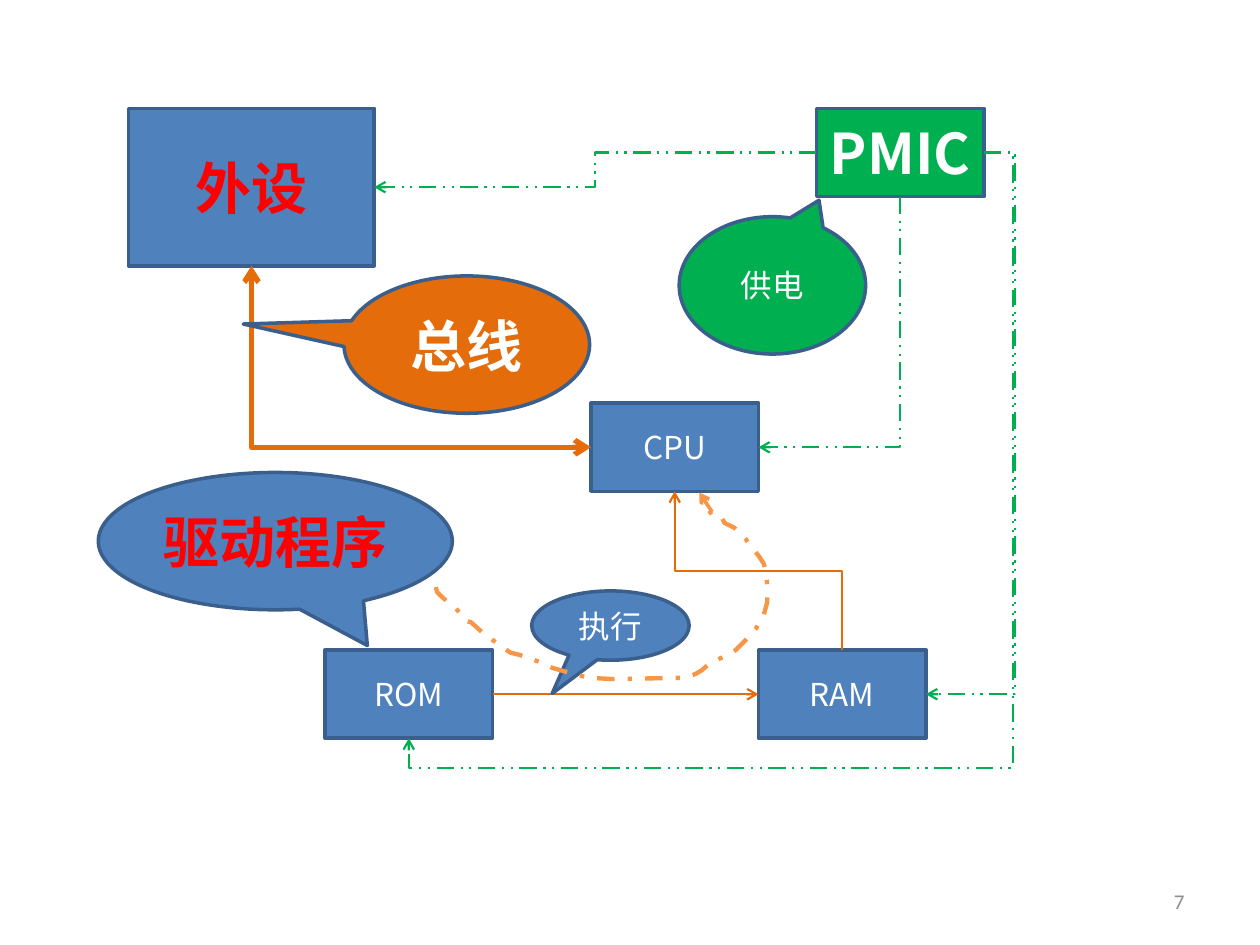
from lxml import etree
from pptx import Presentation
from pptx.dml.color import RGBColor
from pptx.enum.dml import MSO_LINE as Dash
from pptx.enum.shapes import MSO_CONNECTOR as Link, MSO_SHAPE as Geo
from pptx.enum.text import MSO_ANCHOR as Anchor, PP_ALIGN as Align
from pptx.oxml.ns import qn
from pptx.util import Inches, Pt

THEME = {
    "blue": "4F81BD", "edge": "3A5F8C", "green": "00B050", "orange": "E46C0A",
    "flow": "F79646", "red": "FF0000", "white": "FFFFFF", "grey": "8C8C8C",
    "large": 32, "normal": 18, "small": 12,
    "latin": "Calibri", "label": "Noto Sans CJK JP",
}
TOP, LEFT, BOTTOM, RIGHT = range(4)

BOXES = [
    ("外设", (1.02, 0.86, 1.95, 1.25), "blue", "red", "large", "latin"),
    ("PMIC", (6.48, 0.86, 1.33, 0.7), "green", "white", "large", "label"),
    ("CPU", (4.69, 3.2, 1.33, 0.7), "blue", "white", "normal", "label"),
    ("RAM", (6.02, 5.16, 1.33, 0.7), "blue", "white", "normal", "label"),
    ("ROM", (2.58, 5.16, 1.33, 0.7), "blue", "white", "normal", "label"),
]
CALLOUTS = [
    ("总线", (2.73, 2.19, 1.95, 1.09), "orange", "white", "large", (-0.91, -0.15)),
    ("供电", (5.39, 1.72, 1.48, 1.09), "green", "white", "normal", (0.25, -0.62)),
    ("驱动程序", (0.78, 3.75, 2.81, 1.09), "blue", "red", "large", (0.26, 0.76)),
    ("执行", (4.22, 4.69, 1.25, 0.55), "blue", "white", "normal", (-0.37, 0.98)),
]
BUS = ("orange", 3, None, ("headEnd", "tailEnd"))
DATA = ("orange", 1.25, None, ("tailEnd",))
POWER = ("green", 1.25, Dash.DASH_DOT_DOT, ("tailEnd",))
WIRES = [
    ("外设", BOTTOM, "CPU", LEFT, BUS, ("bentConnector2", 270, "flipH", ())),
    ("PMIC", LEFT, "外设", RIGHT, POWER, ("bentConnector3", 180, "flipV", (0.5,))),
    ("ROM", RIGHT, "RAM", LEFT, DATA, None),
    ("RAM", TOP, "CPU", BOTTOM, DATA, ("bentConnector3", 270, "flipV", (0.5,))),
    ("PMIC", BOTTOM, "CPU", RIGHT, POWER, ("bentConnector2", 90, None, ())),
    ("PMIC", RIGHT, "RAM", RIGHT, POWER, ("bentConnector3", 0, "flipH", (-0.53,))),
    ("PMIC", RIGHT, "ROM", BOTTOM, POWER,
     ("bentConnector4", 0, "flipH", (-0.05, 1.05))),
]
FLOW_PATH = [
    (3.46, 4.66), (3.47, 4.7), (3.51, 4.74), (3.62, 4.83), (3.7, 4.93), (3.74, 4.94),
    (3.84, 5.03), (3.98, 5.13), (4.05, 5.18), (4.13, 5.2), (4.3, 5.26), (4.38, 5.3),
    (4.52, 5.34), (4.67, 5.38), (4.86, 5.39), (5.43, 5.38), (5.52, 5.35), (5.57, 5.32),
    (5.64, 5.26), (5.73, 5.22), (5.84, 5.16), (5.91, 5.09), (6, 4.99), (6.06, 4.89),
    (6.09, 4.78), (6.09, 4.65), (6.08, 4.53), (6.06, 4.47), (6.02, 4.41), (5.96, 4.34),
    (5.92, 4.28), (5.83, 4.19), (5.75, 4.15), (5.73, 4.11), (5.69, 4.1), (5.65, 4.06),
    (5.61, 4.09), (5.62, 4.16),
]
FLOW_TIP = (5.65, 4.06, 5.55, 3.91)
PAGE = ("7", (7.17, 6.95, 2.33, 0.4))


def colour(key):
    return RGBColor.from_string(THEME[key])


def apply(target, values):
    for key, value in values.items():
        setattr(target, key, value)


def write(holder, words, ink, size, face, align=Align.CENTER, margin=0):
    frame = holder.text_frame
    apply(frame, {"word_wrap": True, "vertical_anchor": Anchor.MIDDLE,
                  "margin_left": Inches(margin), "margin_right": Inches(margin)})
    paragraph = frame.paragraphs[0]
    paragraph.alignment = align
    run = paragraph.add_run()
    run.text = words
    apply(run.font, {"name": THEME[face], "size": Pt(THEME[size]),
                     "bold": size == "large"})
    run.font.color.rgb = colour(ink)


def stroke(line, key, width, dash=None):
    line.color.rgb = colour(key)
    line.width = Pt(width)
    if dash:
        line.dash_style = dash


def add_node(shapes, geometry, words, place, fill, ink, size, face):
    node = shapes.add_shape(geometry, *map(Inches, place))
    node.shadow.inherit = False
    node.fill.solid()
    node.fill.fore_color.rgb = colour(fill)
    stroke(node.line, "edge", 2)
    write(node, words, ink, size, face)
    return node


def finish_wire(wire, key, width, dash, ends):
    stroke(wire.line, key, width, dash)
    outline = wire.line._get_or_add_ln()
    for end in ends:
        etree.SubElement(outline, qn("a:" + end), type="arrow")
    etree.SubElement(wire._element.spPr, qn("a:effectLst"))


def bend(wire, preset, turn, flip, bends):
    width, height = abs(wire.end_x - wire.begin_x), abs(wire.end_y - wire.begin_y)
    centre_x = (wire.begin_x + wire.end_x) // 2
    centre_y = (wire.begin_y + wire.end_y) // 2
    if turn % 180:
        width, height = height, width
    apply(wire, {"left": centre_x - width // 2, "top": centre_y - height // 2,
                 "width": width, "height": height})
    frame = wire._element.spPr.find(qn("a:xfrm"))
    for side in ("flipH", "flipV"):
        frame.attrib.pop(side, None)
    frame.set("rot", str(turn * 60000))
    if flip:
        frame.set(flip, "1")
    geometry = wire._element.spPr.find(qn("a:prstGeom"))
    geometry.set("prst", preset)
    guides = geometry.find(qn("a:avLst"))
    for number, value in enumerate(bends, 1):
        etree.SubElement(guides, qn("a:gd"), name=f"adj{number}",
                         fmla=f"val {round(value * 100000)}")


def main():
    deck = Presentation()
    apply(deck, {"slide_width": Inches(10), "slide_height": Inches(7.5)})
    shapes = deck.slides.add_slide(deck.slide_layouts[6]).shapes

    number, place = PAGE
    write(shapes.add_textbox(*map(Inches, place)), number, "grey", "small", "latin",
          Align.RIGHT, 0.1)

    nodes = {box[0]: add_node(shapes, Geo.RECTANGLE, *box) for box in BOXES}

    for source, start, target, end, style, route in WIRES:
        wire = shapes.add_connector(Link.ELBOW if route else Link.STRAIGHT, 0, 0, 0, 0)
        wire.begin_connect(nodes[source], start)
        wire.end_connect(nodes[target], end)
        if route:
            bend(wire, *route)
        finish_wire(wire, *style)

    for *content, pointer in CALLOUTS:
        callout = add_node(shapes, Geo.OVAL_CALLOUT, *content, "latin")
        for index, value in enumerate(pointer):
            callout.adjustments[index] = value

    points = [(Inches(x), Inches(y)) for x, y in FLOW_PATH]
    builder = shapes.build_freeform(*points[0])
    builder.add_line_segments(points[1:], close=False)
    flow = builder.convert_to_shape()
    flow.shadow.inherit = False
    flow.fill.background()
    stroke(flow.line, "flow", 2.5, Dash.DASH_DOT)

    tip = shapes.add_connector(Link.STRAIGHT, *map(Inches, FLOW_TIP))
    finish_wire(tip, "flow", 2, None, ("tailEnd",))

    deck.save("out.pptx")


if __name__ == "__main__":
    main()
